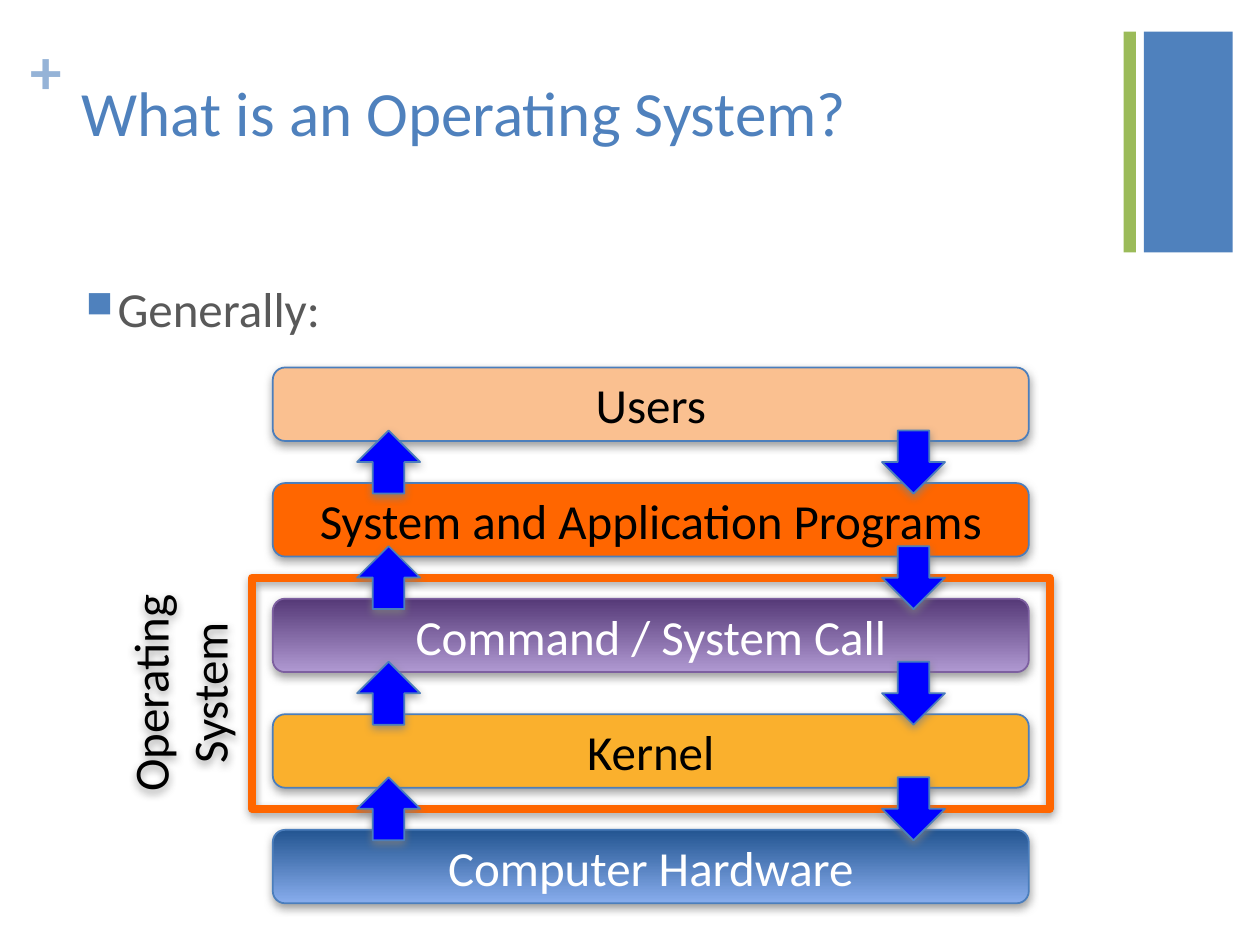
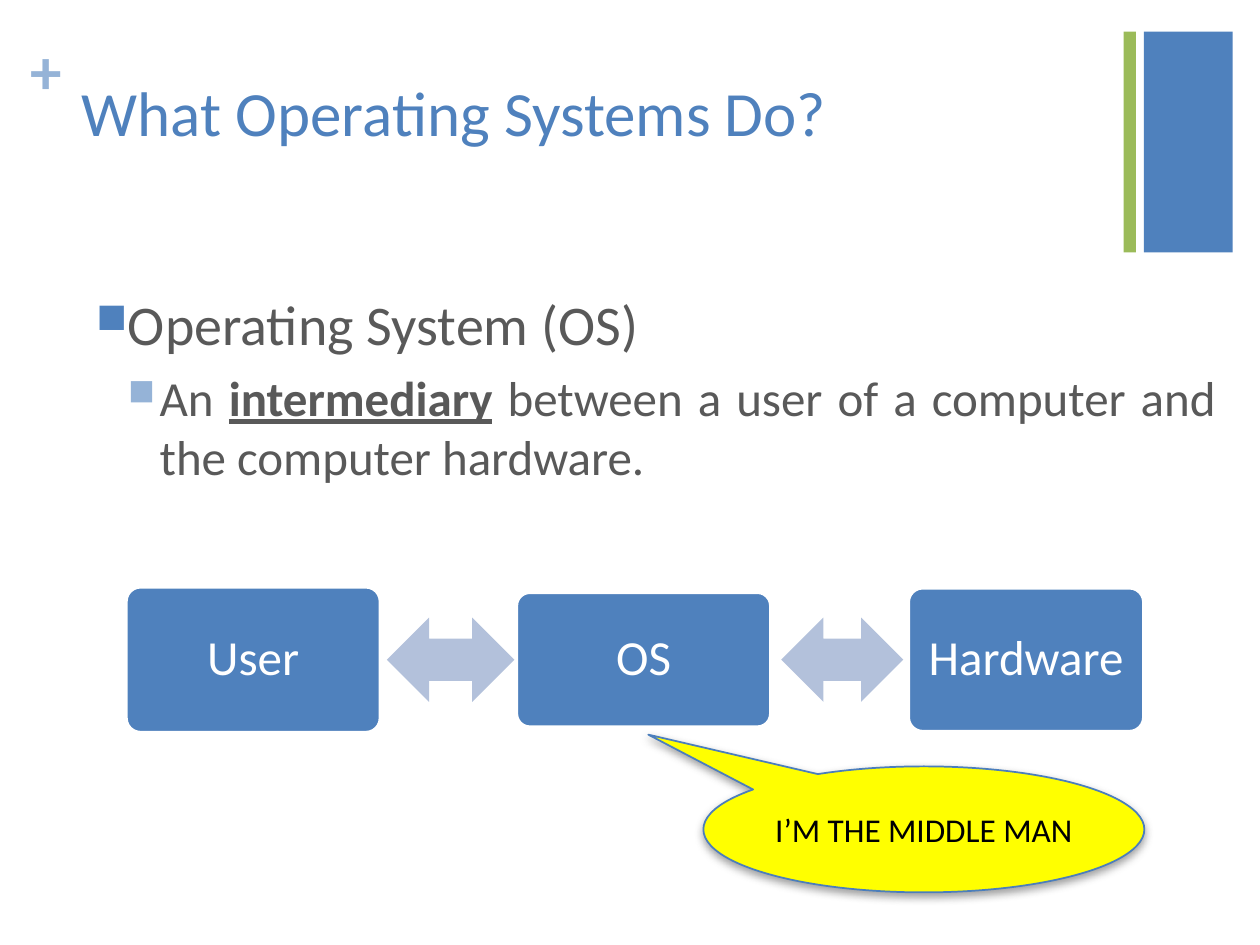
"""Build two slides explaining what an operating system is and does."""
from dataclasses import dataclass

from lxml import etree
from pptx import Presentation
from pptx.dml.color import RGBColor
from pptx.enum import shapes as kinds, text as styles
from pptx.oxml import ns
from pptx.util import Cm, Pt

BLUE = RGBColor(0x4F, 0x81, 0xBD)
PALE_BLUE = RGBColor(0x95, 0xB3, 0xD7)
GREEN = RGBColor(0x9B, 0xBB, 0x59)
GREY = RGBColor(0x59, 0x59, 0x59)
BLACK = RGBColor(0, 0, 0)
WHITE = RGBColor(0xFF, 0xFF, 0xFF)
OUTLINE = RGBColor(0x4B, 0x7E, 0xBC)
VIOLET = RGBColor(0x7D, 0x60, 0xA0)
ORANGE = RGBColor(0xFF, 0x66, 0x00)
PEACH = RGBColor(0xFA, 0xC0, 0x90)
AMBER = RGBColor(0xFA, 0xB0, 0x2D)
ARROW_BLUE = RGBColor(0, 0, 0xFF)
ARROW_PALE = RGBColor(0xB3, 0xC1, 0xDB)
YELLOW = RGBColor(0xFF, 0xFF, 0)
VIOLET_FADE = (RGBColor(0x55, 0x39, 0x77), RGBColor(0xB0, 0x99, 0xD2))
BLUE_FADE = (RGBColor(0x23, 0x55, 0x91), RGBColor(0x88, 0xAD, 0xED))

FONT = "Calibri"
SHAPE = kinds.MSO_SHAPE
CENTER = styles.PP_ALIGN.CENTER
MIDDLE = styles.MSO_ANCHOR.MIDDLE


@dataclass(frozen=True)
class Area:
    """A rectangle in centimetres."""

    left: float
    top: float
    width: float
    height: float

    def lengths(self) -> list:
        """Return the four values as lengths."""
        return [Cm(v) for v in (self.left, self.top, self.width, self.height)]


@dataclass(frozen=True)
class Tier:
    """One layer of the system stack."""

    label: str
    fill: object
    ink: RGBColor = BLACK
    edge: RGBColor = OUTLINE


@dataclass(frozen=True)
class Party:
    """One box in the row between user and hardware."""

    label: str
    left: float
    width: float
    height: float


TIERS = (
    Tier("Users", PEACH),
    Tier("System and Application Programs", ORANGE),
    Tier("Command / System Call", VIOLET_FADE, WHITE, VIOLET),
    Tier("Kernel", AMBER),
    Tier("Computer Hardware", BLUE_FADE, WHITE),
)
TIER_LEFT, TIER_TOP, TIER_WIDTH, TIER_HEIGHT = 5.5, 7.41, 15.24, 1.48
TIER_PITCH = 2.33
TIER_GAP = TIER_PITCH - TIER_HEIGHT
ARROW_SIZE = 1.27
UP_LEFT, DOWN_LEFT = 7.2, 17.78

PARTIES = (
    Party("User", 2.54, 5.13, 2.94),
    Party("OS", 10.41, 5.13, 2.72),
    Party("Hardware", 18.31, 4.75, 2.9),
)
EXCHANGES = ((7.8, 2.57), (15.75, 2.46))
EXCHANGE_HEIGHT = 1.7
ROW_MIDDLE = 13.3


def add_shadow(shape) -> None:
    """Give a shape a soft grey shadow below it."""
    shape.shadow.inherit = False
    effects = shape._element.spPr.find(ns.qn("a:effectLst"))
    shadow = etree.SubElement(effects, ns.qn("a:outerShdw"), blurRad="63500",
                              dist="25400", dir="5400000", rotWithShape="0")
    tint = etree.SubElement(shadow, ns.qn("a:srgbClr"), val="808080")
    etree.SubElement(tint, ns.qn("a:alpha"), val="75000")


def add_block(slide, kind, area: Area, fill=None, edge=None, weight: float = 1,
              shaded: bool = False):
    """Add a preset shape with a plain, graded or empty fill."""
    block = slide.shapes.add_shape(kind, *area.lengths())
    block.shadow.inherit = False
    if shaded:
        add_shadow(block)
    if fill is None:
        block.fill.background()
    elif isinstance(fill, RGBColor):
        block.fill.solid()
        block.fill.fore_color.rgb = fill
    else:
        block.fill.gradient()
        block.fill.gradient_angle = 270
        for stop, shade in zip(block.fill.gradient_stops, fill):
            stop.color.rgb = shade
    if edge is None:
        block.line.fill.background()
    else:
        block.line.color.rgb = edge
        block.line.width = Pt(weight)
    return block


def set_font(paragraph, size: float, ink: RGBColor) -> None:
    """Set the typeface, size and colour of a paragraph."""
    paragraph.font.name = FONT
    paragraph.font.size = Pt(size)
    paragraph.font.color.rgb = ink


def write_centred(shape, lines: list[str], ink: RGBColor, size: float = 28) -> None:
    """Write centred lines into the middle of a shape."""
    frame = shape.text_frame
    frame.word_wrap = True
    frame.vertical_anchor = MIDDLE
    frame.text = "\n".join(lines)
    for paragraph in frame.paragraphs:
        paragraph.alignment = CENTER
        set_font(paragraph, size, ink)


def add_text(slide, area: Area):
    """Add a wrapping text box and return its frame."""
    frame = slide.shapes.add_textbox(*area.lengths()).text_frame
    frame.word_wrap = True
    return frame


def set_bullet(paragraph, colour: RGBColor, level: int = 0) -> None:
    """Give a paragraph a square bullet with a hanging indent."""
    paragraph.level = level
    properties = paragraph._p.get_or_add_pPr()
    properties.set("marL", str(Cm(0.64) * (level + 1)))
    properties.set("indent", str(-Cm(0.64)))
    tint = etree.SubElement(properties, ns.qn("a:buClr"))
    etree.SubElement(tint, ns.qn("a:srgbClr"), val=str(colour))
    etree.SubElement(properties, ns.qn("a:buSzPct"), val="75000")
    etree.SubElement(properties, ns.qn("a:buChar"), char="■")


def add_topic(slide, area: Area, topic: str, size: float):
    """Add the body box with its first bullet and return its frame."""
    frame = add_text(slide, area)
    opening = frame.paragraphs[0]
    set_bullet(opening, BLUE)
    opening.text = topic
    set_font(opening, size, GREY)
    return frame


def start_slide(deck, title: str):
    """Add a blank slide with the shared bands, plus sign and title."""
    slide = deck.slides.add_slide(deck.slide_layouts[6])
    add_block(slide, SHAPE.RECTANGLE, Area(23.06, 0.64, 1.79, 4.45), BLUE)
    add_block(slide, SHAPE.RECTANGLE, Area(22.65, 0.64, 0.25, 4.45), GREEN)
    plus = add_text(slide, Area(0.61, 0.64, 0.74, 1.55))
    plus.margin_left = plus.margin_right = plus.margin_top = plus.margin_bottom = 0
    plus.text = "+"
    set_font(plus.paragraphs[0], 36, PALE_BLUE)
    plus.paragraphs[0].font.bold = True
    heading = add_text(slide, Area(1.4, 1.35, 20.98, 3.1))
    heading.text = title
    set_font(heading.paragraphs[0], 36, BLUE)
    return slide


def build_stack(deck) -> None:
    """Draw the layers from users down to hardware."""
    slide = start_slide(deck, "What is an Operating System?")
    add_topic(slide, Area(1.48, 5.5, 23.37, 11.5), "Generally:", 28)

    system_top = TIER_TOP + 2 * TIER_PITCH - TIER_GAP / 2
    system = Area(TIER_LEFT - 0.42, system_top, TIER_WIDTH + 0.84, 2 * TIER_PITCH)
    add_block(slide, SHAPE.RECTANGLE, system, None, ORANGE, 4.5, shaded=True)

    for row, tier in enumerate(TIERS):
        area = Area(TIER_LEFT, TIER_TOP + row * TIER_PITCH, TIER_WIDTH, TIER_HEIGHT)
        block = add_block(slide, SHAPE.ROUNDED_RECTANGLE, area, tier.fill,
                          tier.edge, shaded=True)
        write_centred(block, [tier.label], tier.ink)

    for row in range(len(TIERS) - 1):
        gap_middle = TIER_TOP + (row + 1) * TIER_PITCH - TIER_GAP / 2
        for left, turn in ((UP_LEFT, 0), (DOWN_LEFT, 180)):
            area = Area(left, gap_middle - ARROW_SIZE / 2, ARROW_SIZE, ARROW_SIZE)
            arrow = add_block(slide, SHAPE.UP_ARROW, area, ARROW_BLUE, OUTLINE,
                              shaded=True)
            arrow.rotation = turn

    side_label = slide.shapes.add_textbox(*Area(1.27, 12.7, 4.66, 2.54).lengths())
    side_label.rotation = 270
    add_shadow(side_label)
    write_centred(side_label, ["Operating", "System"], BLACK)


def build_intermediary(deck) -> None:
    """Draw the operating system between user and hardware."""
    slide = start_slide(deck, "What Operating Systems Do?")
    body = add_topic(slide, Area(1.69, 5.72, 23.07, 11.56), "Operating System (OS)", 32)
    definition = body.add_paragraph()
    set_bullet(definition, PALE_BLUE, 1)
    definition.alignment = styles.PP_ALIGN.JUSTIFY
    definition.space_before = Pt(6)
    set_font(definition, 28, GREY)
    for words, stressed in (
        ("An ", False),
        ("intermediary", True),
        (" between a user of a computer and the computer hardware.", False),
    ):
        run = definition.add_run()
        run.text = words
        run.font.bold = run.font.underline = stressed

    for party in PARTIES:
        area = Area(party.left, ROW_MIDDLE - party.height / 2, party.width, party.height)
        box = add_block(slide, SHAPE.ROUNDED_RECTANGLE, area, BLUE, WHITE, 2)
        box.adjustments[0] = 0.1
        box.text_frame.margin_left = box.text_frame.margin_right = Cm(0.1)
        write_centred(box, [party.label], WHITE)
        box.text_frame.paragraphs[0].line_spacing = 0.9

    for left, width in EXCHANGES:
        area = Area(left, ROW_MIDDLE - EXCHANGE_HEIGHT / 2, width, EXCHANGE_HEIGHT)
        add_block(slide, SHAPE.LEFT_RIGHT_ARROW, area, ARROW_PALE)

    remark = add_block(slide, SHAPE.OVAL_CALLOUT, Area(14.18, 15.45, 8.89, 2.54),
                       YELLOW, OUTLINE, shaded=True)
    remark.adjustments[0] = -0.625
    remark.adjustments[1] = -0.752
    remark.text_frame.margin_left = remark.text_frame.margin_right = 0
    write_centred(remark, ["I’M THE MIDDLE MAN"], BLACK, 19)


def main() -> None:
    """Build and save the deck."""
    deck = Presentation()
    deck.slide_width, deck.slide_height = Cm(25.4), Cm(19.05)
    build_stack(deck)
    build_intermediary(deck)
    deck.save("out.pptx")


if __name__ == "__main__":
    main()
